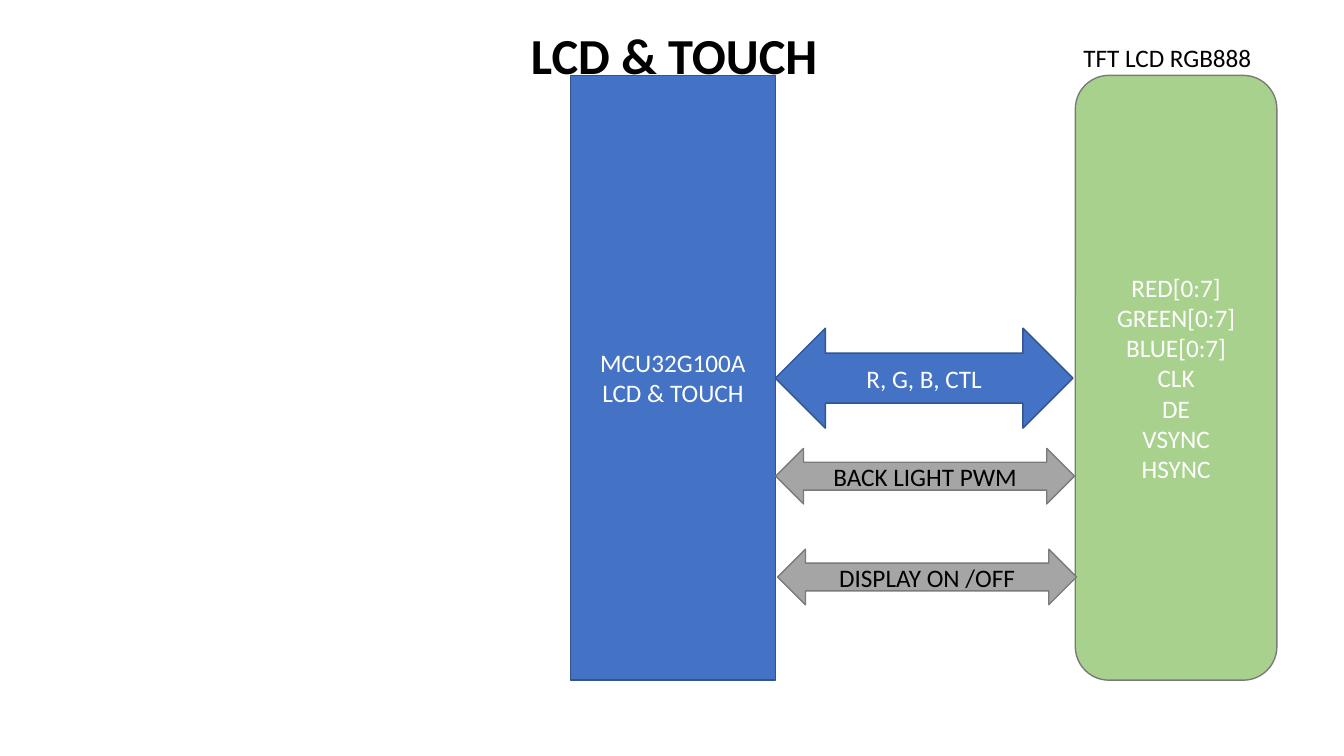
"""Build the LCD and touch block diagram slide."""
from pptx import Presentation
from pptx.dml.color import RGBColor
from pptx.enum.shapes import MSO_SHAPE as Shape
from pptx.enum.text import MSO_ANCHOR as Anchor, PP_ALIGN as Align
from pptx.util import Cm, Pt

COLORS = {
    "blue": "4472C4", "blue line": "325491",
    "green": "A9D18E", "gray": "A5A5A5", "gray line": "7A7A7A",
    "white": "FFFFFF", "black": "000000",
}


def write_text(shape, text, color="black", size=18, bold=False, align=Align.LEFT,
               anchor=Anchor.TOP, wrap=True):
    frame = shape.text_frame
    frame.word_wrap = wrap
    frame.vertical_anchor = anchor
    frame.text = text
    for paragraph in frame.paragraphs:
        paragraph.alignment = align
        font = paragraph.runs[0].font
        font.name = "Calibri"
        font.size = Pt(size)
        font.bold = bold
        font.color.rgb = RGBColor.from_string(COLORS[color])


presentation = Presentation()
presentation.slide_width = Cm(33.87)
presentation.slide_height = Cm(19.05)
slide = presentation.slides.add_slide(presentation.slide_layouts[6])

lcd_signals = "RED[0:7]\nGREEN[0:7]\nBLUE[0:7]\nCLK\nDE\nVSYNC\nHSYNC"
arrow = Shape.LEFT_RIGHT_ARROW
blocks = [
    (Shape.RECTANGLE, 14.38, 1.9, 5.16, 15.24, "blue", "blue line", "white",
     "MCU32G100A\nLCD & TOUCH"),
    (Shape.ROUNDED_RECTANGLE, 27.1, 1.9, 5.08, 15.24, "green", "gray line", "white",
     lcd_signals),
    (arrow, 19.54, 8.27, 7.5, 2.52, "blue", "blue line", "white", "R, G, B, CTL"),
    (arrow, 19.55, 11.3, 7.53, 1.4, "gray", "gray line", "black", "BACK LIGHT PWM"),
    (arrow, 19.6, 13.84, 7.53, 1.4, "gray", "gray line", "black", "DISPLAY ON /OFF"),
]
for preset, left, top, width, height, fill, line, text_color, text in blocks:
    shape = slide.shapes.add_shape(preset, Cm(left), Cm(top), Cm(width), Cm(height))
    shape.shadow.inherit = False
    shape.fill.solid()
    shape.fill.fore_color.rgb = RGBColor.from_string(COLORS[fill])
    shape.line.color.rgb = RGBColor.from_string(COLORS[line])
    shape.line.width = Pt(1)
    write_text(shape, text, color=text_color, align=Align.CENTER, anchor=Anchor.MIDDLE)

display_label = slide.shapes.add_textbox(Cm(27.05), Cm(0.94), Cm(4.8), Cm(1.02))
write_text(display_label, "TFT LCD RGB888", wrap=False)

title = slide.shapes.add_textbox(Cm(13.13), Cm(0.48), Cm(9.53), Cm(1.8))
write_text(title, "LCD & TOUCH", size=36, bold=True)

presentation.save("out.pptx")
